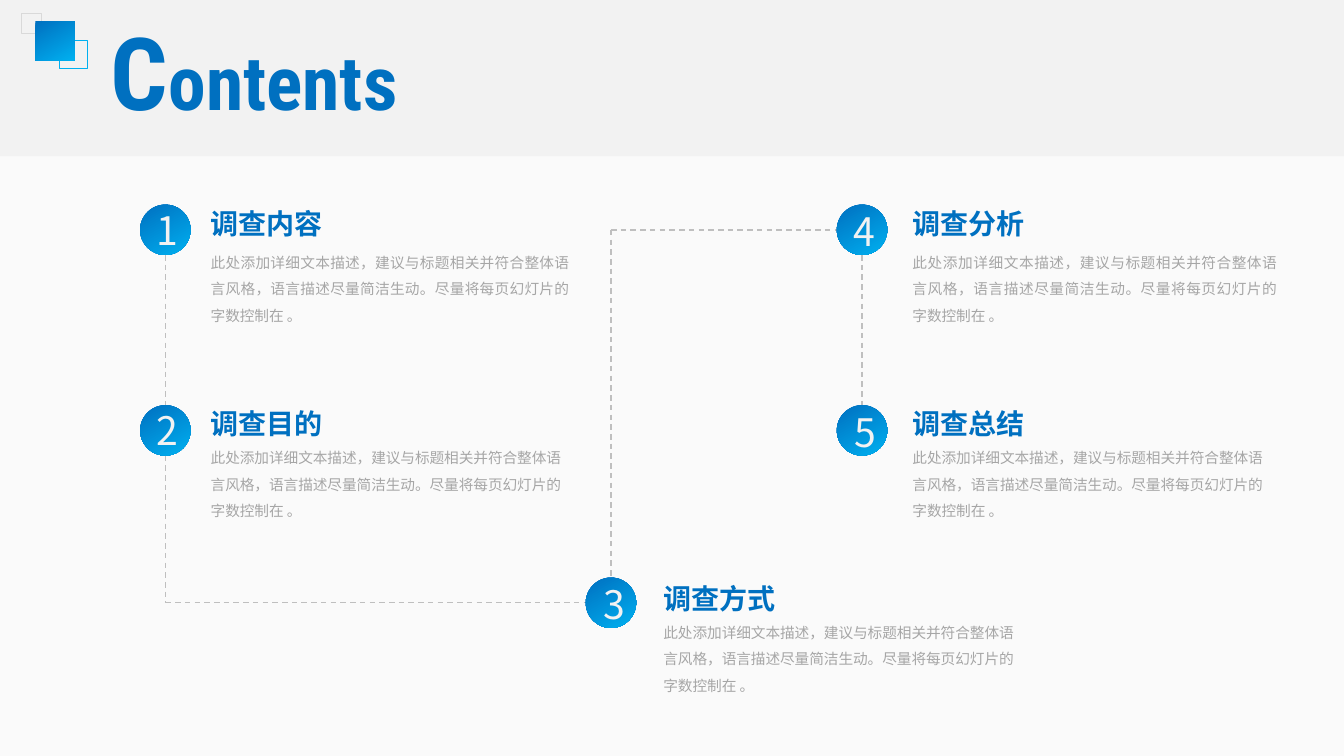
"""Build a contents slide: five numbered survey topics joined by a dashed path."""
from lxml.etree import SubElement
from pptx import Presentation
from pptx.dml.color import RGBColor
from pptx.enum.dml import MSO_LINE_DASH_STYLE as DASH
from pptx.enum.shapes import MSO_CONNECTOR as LINK, MSO_SHAPE as SHAPE
from pptx.enum.text import MSO_ANCHOR as ANCHOR, PP_ALIGN as ALIGN
from pptx.oxml.ns import qn
from pptx.util import Inches, Pt

COLORS = {"page": "FAFAFA", "band": "F2F2F2", "deep": "0070C0", "bright": "00B0F0",
          "frame": "D9D9D9", "path": "BFBFBF", "body": "A6A6A6", "number": "F2F2F2"}
HAN, LATIN = "Noto Sans CJK SC", "Roboto Condensed"
BODY = "此处添加详细文本描述，建议与标题相关并符合整体语言风格，语言描述尽量简洁生动。尽量将每页幻灯片的字数控制在 。"

COLUMNS = [(1.64, 2.09, 3.56), (6.06, 6.58, 3.57), (8.55, 9.05, 3.62)]
ROWS = [(2.28, 2.05, 2.43), (4.27, 4.03, 4.37), (5.98, 5.77, 6.1)]
TOPICS = [("调查内容", 0, 0), ("调查目的", 0, 1), ("调查方式", 1, 2),
          ("调查分析", 2, 0), ("调查总结", 2, 1)]
NUMBER_SHIFTS = [(0.02, 0), (0.02, 0), (0.03, 0.01), (0.02, 0.01), (0.03, 0.02)]
RADIUS = 0.25
HEADING_H, BODY_H = 0.34, 0.8
NUMBER_W, NUMBER_H = 0.29, 0.47
BAND_H = 1.55
FRAMES = [(0.59, 0.4, 0.28, "bright"), (0.21, 0.13, 0.2, "frame")]
EMBLEM = (0.35, 0.21, 0.39)

deck = Presentation()
deck.slide_width, deck.slide_height = Inches(13.33), Inches(7.5)
slide = deck.slides.add_slide(deck.slide_layouts[5])
shapes = slide.shapes


def color(name):
    return RGBColor.from_string(COLORS[name])


def paint_gradient(fill):
    fill.gradient()
    fill.gradient_angle = 300
    for stop, name in zip(fill.gradient_stops, ("deep", "bright")):
        stop.color.rgb = color(name)


def add_preset(kind, left, top, width, height, fill=None, line=None):
    shape = shapes.add_shape(kind, *map(Inches, (left, top, width, height)))
    shape.shadow.inherit = False
    if fill == "gradient":
        paint_gradient(shape.fill)
    elif fill:
        shape.fill.solid()
        shape.fill.fore_color.rgb = color(fill)
    else:
        shape.fill.background()
    if line:
        shape.line.color.rgb = color(line)
        shape.line.width = Pt(0.75)
    else:
        shape.line.fill.background()


def add_text(text, left, top, width, height, size, ink, bold=False,
             align=ALIGN.LEFT, spacing=1.0, wrap=True, tracking=0):
    frame = shapes.add_textbox(*map(Inches, (left, top, width, height))).text_frame
    frame.margin_left = frame.margin_right = frame.margin_top = frame.margin_bottom = 0
    frame.word_wrap = wrap
    paragraph = frame.paragraphs[0]
    paragraph.text = text
    paragraph.alignment, paragraph.line_spacing = align, spacing
    font = paragraph.font
    font.name, font.size, font.bold = HAN, Pt(size), bold
    font.color.rgb = color(ink)
    defaults = paragraph._p.pPr.find(qn("a:defRPr"))
    SubElement(defaults, qn("a:ea")).set("typeface", HAN)
    if tracking:
        defaults.set("spc", str(tracking * 100))


def add_dash(*ends):
    link = shapes.add_connector(LINK.STRAIGHT, *map(Inches, ends))
    link.line.color.rgb = color("path")
    link.line.width = Pt(1)
    link.line.dash_style = DASH.DASH
    SubElement(link._element.spPr, qn("a:effectLst"))


def add_title():
    title = shapes.title
    title.element.getparent().append(title.element)
    title.left, title.top, title.width, title.height = map(Inches, (1, 0.05, 3.23, 1.31))
    frame = title.text_frame
    frame.vertical_anchor, frame.word_wrap = ANCHOR.TOP, True
    paragraph = frame.paragraphs[0]
    paragraph.alignment = ALIGN.LEFT
    paragraph.font.name, paragraph.font.bold = LATIN, True
    paragraph.font.color.rgb = color("deep")
    for text, size in (("C", 72), ("ontents", 54)):
        run = paragraph.add_run()
        run.text, run.font.size = text, Pt(size)


def add_path():
    left, middle, right = (column[0] for column in COLUMNS)
    upper, centre, lower = (row[0] for row in ROWS)
    add_dash(left, upper + RADIUS, left, centre - RADIUS)
    add_dash(left, centre + RADIUS, left, lower)
    add_dash(left, lower, middle - RADIUS, lower)
    add_dash(middle, upper, middle, lower - RADIUS)
    add_dash(middle, upper, right - RADIUS, upper)
    add_dash(right, upper + RADIUS, right, centre - RADIUS)


def add_topic(number, heading, column, row):
    x, text_left, text_w = COLUMNS[column]
    y, heading_top, body_top = ROWS[row]
    shift_x, shift_y = NUMBER_SHIFTS[number - 1]
    add_text(BODY, text_left, body_top, text_w, BODY_H, 10.5, "body", spacing=1.5,
             align=ALIGN.JUSTIFY if row == 0 else ALIGN.LEFT)
    add_text(heading, text_left, heading_top, text_w, HEADING_H, 20, "deep", bold=True)
    add_preset(SHAPE.OVAL, x - RADIUS, y - RADIUS, 2 * RADIUS, 2 * RADIUS, "gradient")
    add_text(str(number), x - NUMBER_W / 2 + shift_x, y - NUMBER_H / 2 + shift_y,
             NUMBER_W, NUMBER_H, 28, "number", align=ALIGN.CENTER, wrap=False, tracking=4)


slide.background.fill.solid()
slide.background.fill.fore_color.rgb = color("page")
add_preset(SHAPE.RECTANGLE, 0, 0, 13.33, BAND_H, "band")
for left, top, side, outline in FRAMES:
    add_preset(SHAPE.RECTANGLE, left, top, side, side, line=outline)
left, top, side = EMBLEM
add_preset(SHAPE.RECTANGLE, left, top, side, side, "gradient")
add_title()
add_path()
for number, topic in enumerate(TOPICS, 1):
    add_topic(number, *topic)
deck.save("out.pptx")
